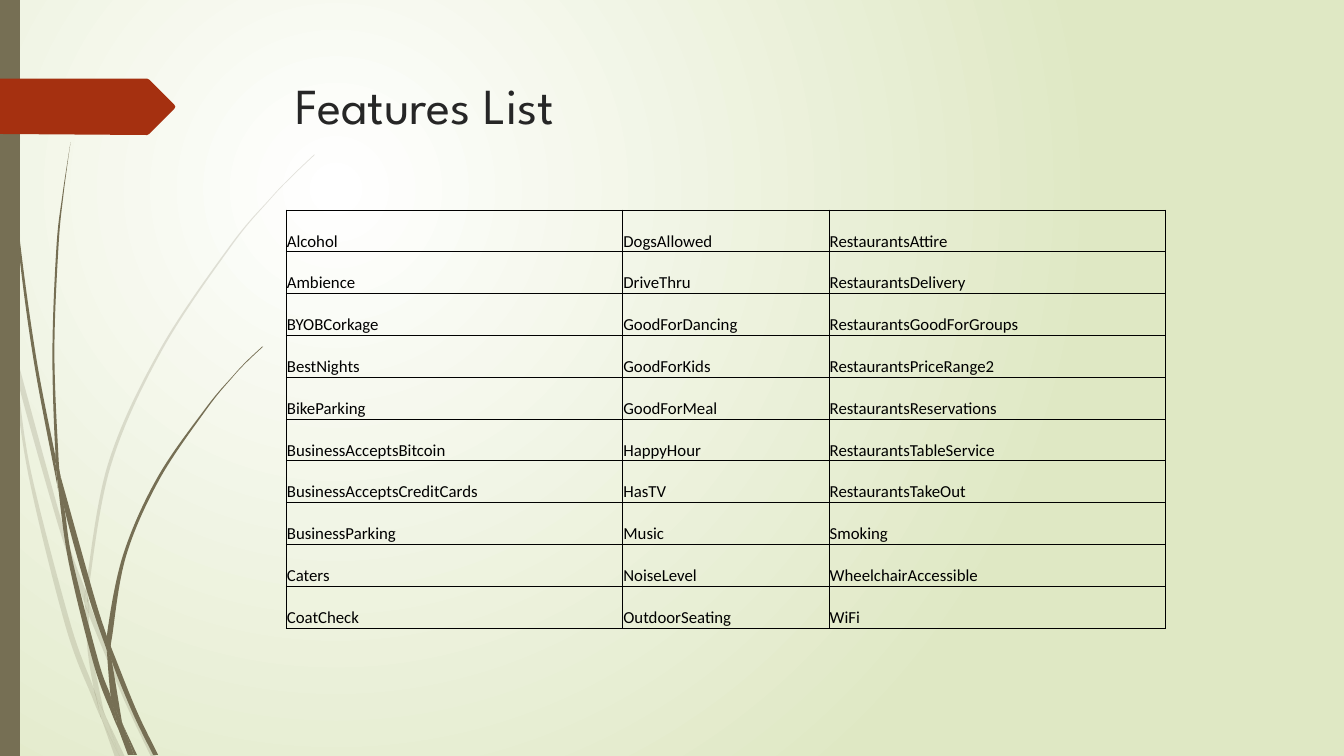
from dataclasses import dataclass

from lxml import etree
from pptx import Presentation
from pptx.dml.color import RGBColor as RGB
from pptx.enum.shapes import MSO_SHAPE as SHAPE
from pptx.enum.text import MSO_ANCHOR as ANCHOR, MSO_AUTO_SIZE as FIT, PP_ALIGN as ALIGN
from pptx.oxml.ns import qn
from pptx.util import Cm, Pt


@dataclass(frozen=True)
class Theme:
    """Colours, fonts and type sizes of the deck."""
    glow: RGB = RGB.from_string("FFFFFF")
    meadow: RGB = RGB.from_string("DFE8C4")
    stem: RGB = RGB.from_string("766F54")
    tag: RGB = RGB.from_string("A53010")
    heading: RGB = RGB.from_string("262626")
    ink: RGB = RGB.from_string("000000")
    heading_font: str = "League Spartan"
    cell_font: str = "Calibri"
    heading_size: Pt = Pt(36)
    cell_size: Pt = Pt(12)
    rule: Pt = Pt(0.5)


THEME = Theme()
GRID = Cm(2.54) / 100  # unit of the outlines

# Each blade is a pair of edges: one out, one back.
PALE_BLADES = [
    ([(11, 350), (9, 322), (0, 282)], [(0, 299), (10, 344), (11, 350)]),
    ([(14, 345), (17, 376), (58, 522), (84, 599)], [(85, 586), (62, 520), (14, 345)]),
    ([(88, 610), (123, 694), (150, 751)], [(155, 751), (127, 692), (92, 607), (88, 596)]),
    ([(105, 711), (119, 751)], [(124, 751), (105, 711)]),
    ([(11, 350), (28, 470), (65, 621), (92, 693), (101, 714)],
     [(99, 707), (93, 683), (70, 619), (31, 469), (17, 376), (11, 350)]),
    ([(84, 599), (87, 646), (93, 683), (96, 692), (105, 711)],
     [(103, 706), (91, 646), (88, 610), (88, 608), (84, 599)]),
    ([(88, 596), (88, 584), (110, 462), (160, 349), (229, 245), (268, 198), (290, 175), (312, 154)],
     [(312, 153), (289, 175), (268, 197), (228, 244), (158, 348), (107, 461), (85, 584), (85, 586)]),
    ([(101, 714), (114, 751)], [(119, 751), (101, 714)]),
    ([(85, 586), (84, 599), (88, 608)], [(88, 610), (88, 596), (85, 586)]),
    ([(93, 683), (99, 707), (101, 714), (119, 751)], [(119, 751), (105, 711), (96, 692), (93, 683)]),
]
DARK_BLADES = [
    ([(3, 0), (4, 48), (7, 110), (17, 233), (33, 355), (56, 477), (57, 481)],
     [(55, 457), (55, 453), (36, 355), (19, 232), (8, 109), (5, 48), (4, 0)]),
    ([(60, 472), (64, 505), (88, 592), (106, 645)], [(106, 633), (106, 631), (93, 590), (60, 472)]),
    ([(110, 641), (111, 656), (132, 708), (152, 749)], [(157, 749), (136, 706), (113, 649), (110, 641)]),
    ([(57, 477), (68, 557), (93, 659), (111, 708), (117, 722)],
     [(116, 717), (110, 691), (98, 657), (72, 556), (64, 505), (57, 477)]),
    ([(60, 472), (58, 453), (54, 349), (58, 245), (63, 193), (70, 141)],
     [(70, 141), (62, 193), (56, 245), (52, 349), (55, 449), (60, 472)]),
    ([(122, 719), (133, 749)], [(136, 749), (122, 719)]),
    ([(55, 449), (55, 453), (57, 477), (64, 505)], [(60, 472), (55, 449)]),
    ([(110, 641), (111, 633), (125, 552), (158, 476), (205, 406), (231, 374), (245, 359), (261, 344)],
     [(260, 344), (245, 358), (231, 373), (204, 405), (156, 474), (122, 551), (106, 631), (110, 641)]),
    ([(117, 722), (127, 749)], [(131, 749), (117, 722)]),
    ([(106, 645), (110, 691), (116, 706), (122, 719)],
     [(121, 716), (111, 656), (109, 651), (106, 645)]),
    ([(106, 631), (106, 645), (109, 651), (111, 656)], [(110, 641), (106, 631)]),
    ([(110, 691), (116, 717), (117, 722), (130, 749)], [(133, 749), (122, 719), (116, 706), (110, 691)]),
]
TAG = [(0, 78), (146, 78), (148, 79), (173, 104), (174, 106), (173, 108), (148, 133), (146, 134), (0, 133)]

FEATURES = [
    ["Alcohol", "Ambience", "BYOBCorkage", "BestNights", "BikeParking", "BusinessAcceptsBitcoin",
     "BusinessAcceptsCreditCards", "BusinessParking", "Caters", "CoatCheck"],
    ["DogsAllowed", "DriveThru", "GoodForDancing", "GoodForKids", "GoodForMeal", "HappyHour",
     "HasTV", "Music", "NoiseLevel", "OutdoorSeating"],
    ["RestaurantsAttire", "RestaurantsDelivery", "RestaurantsGoodForGroups",
     "RestaurantsPriceRange2", "RestaurantsReservations", "RestaurantsTableService",
     "RestaurantsTakeOut", "Smoking", "WheelchairAccessible", "WiFi"],
]


def paint(sp, color, alpha=None):
    """Fill a shape flat, without line or shadow, optionally see-through."""
    sp.shadow.inherit = False
    sp.line.fill.background()
    sp.fill.solid()
    sp.fill.fore_color.rgb = color
    if alpha is not None:
        rgb = sp._element.spPr.find(".//" + qn("a:srgbClr"))
        etree.SubElement(rgb, qn("a:alpha"), val=str(alpha * 1000))


def add_outline(shapes, box, points):
    """Draw a closed outline from the top left of the box."""
    spots = [(box[0] + x * GRID, box[1] + y * GRID) for x, y in points]
    builder = shapes.build_freeform(*spots[0])
    builder.add_line_segments(spots[1:], close=True)
    return builder.convert_to_shape()


def bend_edges(sp, split):
    """Turn the straight steps of both edges into smooth curves."""
    nodes = list(sp._element.iter(qn("a:pt")))
    points = [(int(n.get("x")), int(n.get("y"))) for n in nodes]
    for edge in (slice(0, split), slice(split, None)):
        pts = points[edge]
        ends = [pts[0], *pts, pts[-1]]
        for node, a, b, c, d in zip(nodes[edge][1:], ends, ends[1:], ends[2:], ends[3:]):
            line = node.getparent()
            curve = etree.Element(qn("a:cubicBezTo"))
            leave = [q + (r - p) / 6 for p, q, r in zip(a, b, c)]
            arrive = [r - (s - q) / 6 for q, r, s in zip(b, c, d)]
            for x, y in (leave, arrive, c):
                etree.SubElement(curve, qn("a:pt"), x=str(round(x)), y=str(round(y)))
            line.getparent().replace(line, curve)


def add_blades(s, box, blades, color, alpha=None):
    """Draw a group of grass blades in the box."""
    shapes = s.shapes.add_group_shape().shapes
    for out, back in blades:
        blade = add_outline(shapes, box, out + back)
        bend_edges(blade, len(out))
        paint(blade, color, alpha)


def add_margin(s, box):
    """Draw the grass, the side bar and the red tag down the left of the box."""
    left, top, _, height = box
    add_blades(s, box, PALE_BLADES, THEME.stem, alpha=20)
    add_blades(s, box, DARK_BLADES, THEME.stem)
    paint(s.shapes.add_shape(SHAPE.RECTANGLE, left, top, Cm(0.5), height), THEME.stem)
    paint(add_outline(s.shapes, box, TAG), THEME.tag)


def set_background(s):
    """Give the slide a round glow centred towards the top left."""
    fill = s.background.fill
    fill.gradient()
    for stop, color in zip(fill.gradient_stops, (THEME.glow, THEME.meadow)):
        stop.color.rgb = color
    lin = s._element.find(".//" + qn("a:lin"))
    circle = etree.Element(qn("a:path"), attrib={"path": "circle"})
    etree.SubElement(circle, qn("a:fillToRect"), l="50000", t="50000", r="100000", b="100000")
    lin.getparent().replace(lin, circle)


def set_title(s, box, text):
    """Move the title placeholder to the box and format its text."""
    title = s.shapes.title
    title.left, title.top, title.width, title.height = box
    tf = title.text_frame
    tf.text = text
    tf.word_wrap, tf.auto_size, tf.vertical_anchor = True, FIT.NONE, ANCHOR.TOP
    p = tf.paragraphs[0]
    p.alignment = ALIGN.LEFT
    p.font.name, p.font.size = THEME.heading_font, THEME.heading_size
    p.font.color.rgb = THEME.heading


def format_cell(cell, text):
    """Write one feature in a clear cell with thin black borders."""
    cell.text = text
    cell.vertical_anchor = ANCHOR.BOTTOM
    cell.margin_left = cell.margin_right = cell.margin_top = Cm(0.02)
    cell.margin_bottom = 0
    p = cell.text_frame.paragraphs[0]
    p.font.name, p.font.size = THEME.cell_font, THEME.cell_size
    p.font.color.rgb = THEME.ink
    tc_pr = cell._tc.get_or_add_tcPr()
    for side in "LRTB":
        ln = etree.SubElement(tc_pr, qn(f"a:ln{side}"), w=str(THEME.rule))
        solid = etree.SubElement(ln, qn("a:solidFill"))
        etree.SubElement(solid, qn("a:srgbClr"), val=str(THEME.ink))
    cell.fill.background()


def add_feature_table(s, box, columns):
    """Fill the box with the features, one list per column."""
    table = s.shapes.add_table(len(columns[0]), len(columns), *box).table
    table.first_row = table.horz_banding = False
    middle = Cm(5.2)
    side = (box[2] - middle) // 2
    for column, width in zip(table.columns, (side, middle, side)):
        column.width = width
    for c, names in enumerate(columns):
        for r, name in enumerate(names):
            format_cell(table.cell(r, c), name)


def add_features_slide(prs):
    """Add the slide that lists the features."""
    s = prs.slides.add_slide(prs.slide_layouts[5])
    set_background(s)
    add_margin(s, (0, 0, prs.slide_width, prs.slide_height))
    set_title(s, (Cm(7.2), Cm(1.73), Cm(24.77), Cm(3.56)), "Features List")
    add_feature_table(s, (Cm(7.21), Cm(5.29), Cm(22.16), Cm(10.54)), FEATURES)


prs = Presentation()
prs.slide_width, prs.slide_height = Cm(33.87), Cm(19.05)
add_features_slide(prs)
prs.save("out.pptx")
